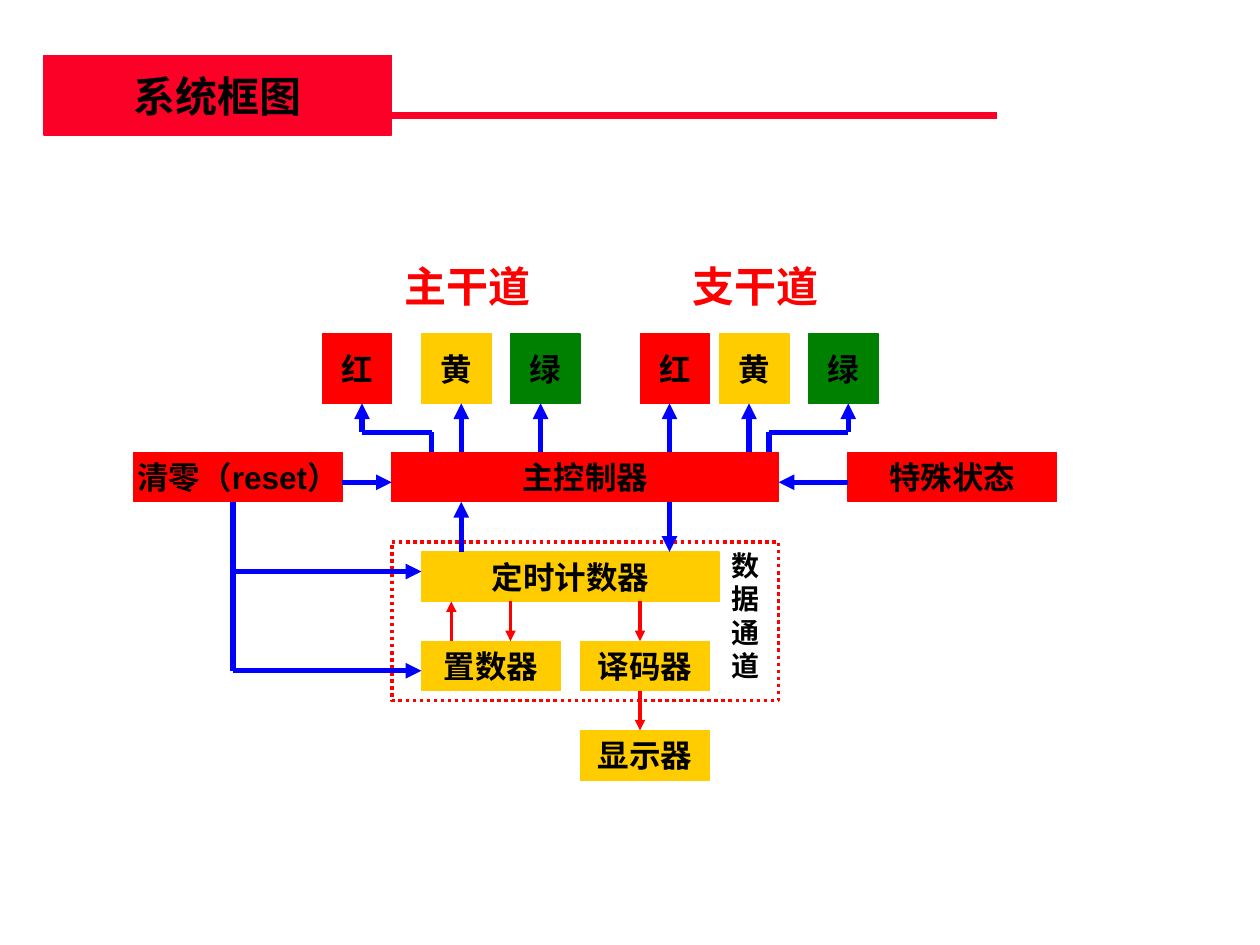
from dataclasses import dataclass
from itertools import pairwise

from lxml.etree import SubElement
from pptx import Presentation
from pptx.dml.color import RGBColor
from pptx.enum.dml import MSO_LINE
from pptx.enum.shapes import MSO_CONNECTOR, MSO_SHAPE
from pptx.enum.text import MSO_ANCHOR, MSO_AUTO_SIZE, PP_ALIGN
from pptx.oxml.ns import qn
from pptx.util import Pt


@dataclass(frozen=True)
class Theme:
    font: str = "Arial"
    ink: str = "000000"
    paper: str = "FFFFFF"
    banner: str = "FC0128"
    red: str = "FF0000"
    yellow: str = "FFCC00"
    green: str = "008000"
    blue: str = "0000FF"
    heading: int = 24
    label: int = 18
    side: int = 16
    edge: float = 0.75
    thin: int = 2
    thick: int = 3
    rule: int = 4


class Diagram:
    def __init__(self, slide, theme):
        self.s = slide
        self.th = theme

    def set_text(self, sp, lines, size, color, align, anchor):
        tf = sp.text_frame
        tf.auto_size = MSO_AUTO_SIZE.NONE
        tf.word_wrap = False
        tf.vertical_anchor = anchor
        tf.text = "\n".join(lines)
        for p in tf.paragraphs:
            p.alignment = align
            p.font.name = self.th.font
            p.font.size = Pt(size)
            p.font.bold = True
            p.font.color.rgb = RGBColor.from_string(color)

    def paint(self, sp, fill, line, width):
        sp.fill.solid()
        sp.fill.fore_color.rgb = RGBColor.from_string(fill)
        sp.line.color.rgb = RGBColor.from_string(line)
        sp.line.width = Pt(width)

    def title(self, text, x, y, w, h):
        sp = self.s.shapes.title
        sp.left, sp.top, sp.width, sp.height = Pt(x), Pt(y), Pt(w), Pt(h)
        self.paint(sp, self.th.banner, self.th.banner, self.th.edge)
        self.set_text(sp, [text], self.th.heading, self.th.ink, PP_ALIGN.CENTER, MSO_ANCHOR.MIDDLE)
        return sp

    def rect(self, x, y, w, h):
        sp = self.s.shapes.add_shape(MSO_SHAPE.RECTANGLE, Pt(x), Pt(y), Pt(w), Pt(h))
        sp.shadow.inherit = False
        return sp

    def block(self, text, color, x, y, w, h):
        sp = self.rect(x, y, w, h)
        self.paint(sp, color, color, self.th.edge)
        self.set_text(sp, [text], self.th.label, self.th.ink, PP_ALIGN.CENTER, MSO_ANCHOR.MIDDLE)

    def dotted_frame(self, x, y, w, h):
        sp = self.rect(x, y, w, h)
        self.paint(sp, self.th.paper, self.th.red, self.th.thin)
        sp.line.dash_style = MSO_LINE.ROUND_DOT

    def text(self, lines, size, color, x, y, w, h):
        sp = self.s.shapes.add_textbox(Pt(x), Pt(y), Pt(w), Pt(h))
        self.set_text(sp, lines, size, color, PP_ALIGN.LEFT, MSO_ANCHOR.TOP)

    def line(self, start, end, color, width, arrow=False):
        cn = self.s.shapes.add_connector(MSO_CONNECTOR.STRAIGHT, *map(Pt, start + end))
        cn.line.color.rgb = RGBColor.from_string(color)
        cn.line.width = Pt(width)
        props = cn.element.spPr
        if arrow:
            SubElement(props.find(qn("a:ln")), qn("a:tailEnd"), type="triangle")
        SubElement(props, qn("a:effectLst"))
        return cn

    def route(self, *points, color, width):
        """Join the points with straight lines; only the last one has an arrowhead."""
        legs = list(pairwise(points))
        for i, (start, end) in enumerate(legs, 1):
            self.line(start, end, color, width, arrow=i == len(legs))


def main():
    prs = Presentation()
    prs.slide_width, prs.slide_height = Pt(720), Pt(540)
    th = Theme()
    d = Diagram(prs.slides.add_slide(prs.slide_layouts[5]), th)

    title = d.title("系统框图", 25.2, 31.7, 198.7, 45.4)
    rule = d.line((66, 65.8), (570, 65.8), th.banner, th.rule)
    title.element.addprevious(rule.element)

    box_h, pitch, lamp = 28.3, 51, 39.7
    control_y, timer_y, lamp_y = 258.5, 315.4, 190.8
    preset_y, display_y = timer_y + pitch, timer_y + 2 * pitch
    control_end, timer_end = control_y + box_h, timer_y + box_h
    preset_end, lamp_end = preset_y + box_h, lamp_y + lamp
    control_x, control_w = 223.9, 221
    control_right = control_x + control_w

    for text, x, w in (("主控制器", control_x, control_w),
                       ("清零（reset）", 76.3, 119.3),
                       ("特殊状态", 484.6, 119)):
        d.block(text, th.red, x, control_y, w, box_h)

    d.dotted_frame(control_x, 309.7, control_w, 90.7)
    for text, x, y, w in (("定时计数器", 240.8, timer_y, 170.2),
                          ("置数器", 240.8, preset_y, 79.4),
                          ("译码器", 331.8, preset_y, 73.6),
                          ("显示器", 331.8, display_y, 73.6)):
        d.block(text, th.yellow, x, y, w, box_h)
    d.text("数据通道", th.side, th.ink, 411.1, 309.7, 30.4, 84.2)

    for x, y1, y2 in ((257.9, preset_y, timer_end), (291.7, timer_end, preset_y),
                      (365.7, timer_end, preset_y), (365.7, preset_end, display_y)):
        d.route((x, y1), (x, y2), color=th.red, width=th.thin)

    lamps = (("红", th.red), ("黄", th.yellow), ("绿", th.green))
    roads = (("主干道", 223.9, (184.2, 241, 291.8)),
             ("支干道", 388.5, (365.8, 411.1, 462.2)))
    for road, road_x, lamp_xs in roads:
        for (text, color), x in zip(lamps, lamp_xs):
            d.block(text, color, x, lamp_y, lamp, lamp)
        d.text([road], th.heading, th.red, road_x, 145.4, 86.4, 36)

    reset_x, signal_y, bend_y, timer_in_x = 133.2, 275.6, 247.1, 240.8
    timer_in_y, preset_in_y = 326.6, 383.3
    routes = [
        ((263.6, timer_y), (263.6, control_end)),
        ((382.6, control_end), (382.6, timer_y)),
        ((195.6, signal_y), (control_x, signal_y)),
        ((484.6, signal_y), (control_right, signal_y)),
        ((reset_x, timer_in_y), (timer_in_x, timer_in_y)),
        ((reset_x, control_end), (reset_x, preset_in_y), (timer_in_x, preset_in_y)),
    ]
    routes += [((x, control_y), (x, lamp_end)) for x in (263.6, 308.9, 382.6, 428)]
    routes += [((x, control_y), (x, bend_y), (lamp_x, bend_y), (lamp_x, lamp_end))
               for x, lamp_x in ((246.6, 206.9), (439.4, 484.7))]
    for points in routes:
        d.route(*points, color=th.blue, width=th.thick)

    prs.save("out.pptx")


if __name__ == "__main__":
    main()
